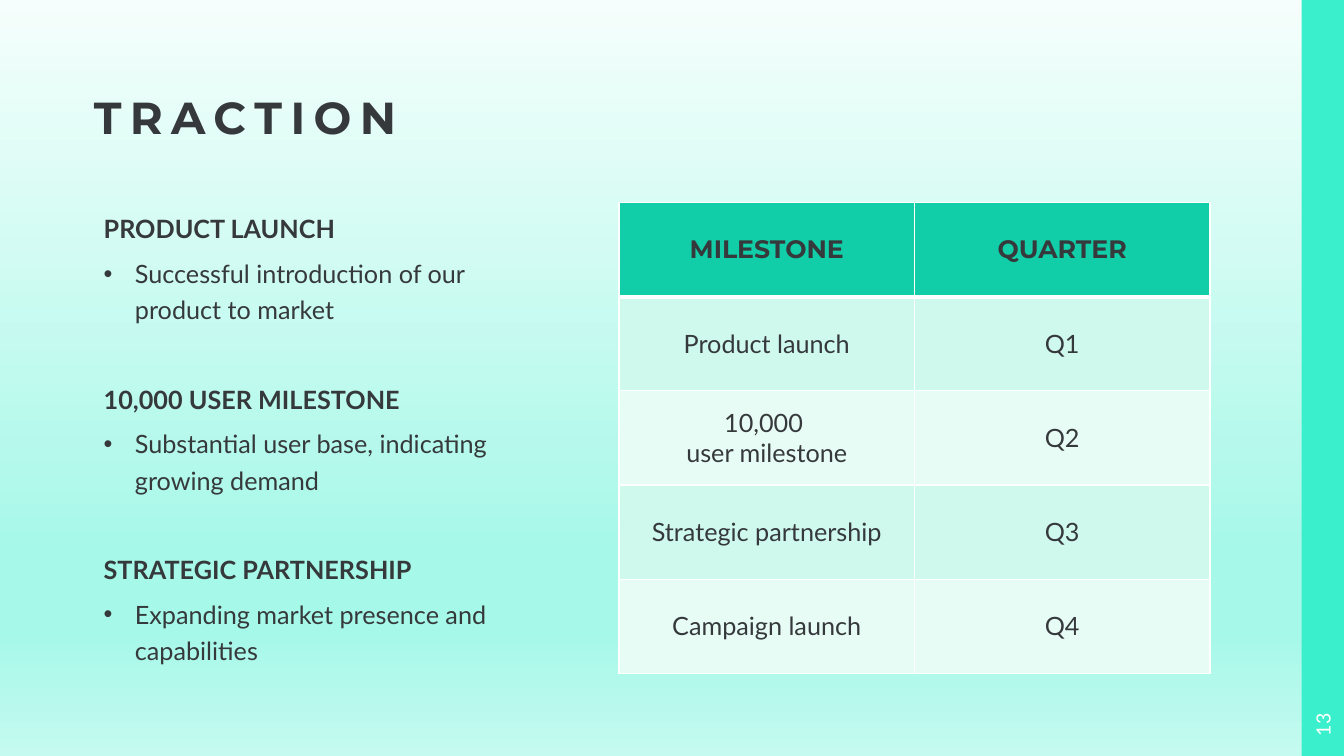
from lxml import etree
from pptx import Presentation
from pptx.dml.color import RGBColor
from pptx.enum.shapes import MSO_SHAPE as Shape
from pptx.enum.text import MSO_ANCHOR as Anchor, PP_ALIGN as Align
from pptx.oxml.ns import qn
from pptx.util import Inches, Pt

COLORS = {
    "ink": "36393B", "white": "FFFFFF", "strip": "3AEFCC",
    "header": "11CEA9", "band_dark": "CEF9EC", "band_light": "E8FCF6",
}
BACKGROUND_STOPS = [(0, "F5FEFC"), (74, "A6F8E8"), (83, "A6F8E8"), (100, "C4FAF0")]
HEADING_FONT, BODY_FONT = "Montserrat", "Lato"

ACHIEVEMENTS = [
    ("PRODUCT LAUNCH", "Successful introduction of our product to market"),
    ("10,000 USER MILESTONE", "Substantial user base, indicating growing demand"),
    ("STRATEGIC PARTNERSHIP", "Expanding market presence and capabilities"),
]
MILESTONES = [
    ("MILESTONE", "QUARTER"),
    ("Product launch", "Q1"),
    ("10,000 \vuser milestone", "Q2"),
    ("Strategic partnership", "Q3"),
    ("Campaign launch", "Q4"),
]


def rgb(name):
    return RGBColor.from_string(COLORS[name])


def set_font(font, size, name=BODY_FONT, color="ink", bold=False):
    font.size, font.name, font.bold = Pt(size), name, bold
    font.color.rgb = rgb(color)


def set_background(slide):
    fill = slide.background.fill
    fill.gradient()
    fill.gradient_angle = 270
    stops = slide.element.find(".//" + qn("a:gsLst"))
    for stop in list(stops):
        stops.remove(stop)
    for percent, color in BACKGROUND_STOPS:
        stop = etree.SubElement(stops, qn("a:gs"), pos=str(percent * 1000))
        etree.SubElement(stop, qn("a:srgbClr"), val=color)


def add_strip(slide):
    strip = slide.shapes.add_shape(
        Shape.RECTANGLE, Inches(12.91), 0, Inches(0.42), Inches(7.5))
    strip.shadow.inherit = False
    strip.fill.solid()
    strip.fill.fore_color.rgb = rgb("strip")
    strip.line.fill.background()


def set_title(slide, text):
    title = slide.shapes.title
    title.left, title.top = Inches(0.93), 0
    title.width, title.height = Inches(11.07), Inches(1.43)
    frame = title.text_frame
    frame.margin_left = frame.margin_right = frame.margin_top = frame.margin_bottom = 0
    frame.vertical_anchor = Anchor.BOTTOM
    frame.text = text
    paragraph = frame.paragraphs[0]
    paragraph.alignment = Align.LEFT
    paragraph.line_spacing = 0.9
    run = paragraph.runs[0]
    set_font(run.font, 32, HEADING_FONT, bold=True)
    run._r.get_or_add_rPr().set("spc", "600")


def add_bullet(paragraph):
    properties = paragraph._p.get_or_add_pPr()
    indent = Inches(0.31)
    properties.set("marL", str(indent))
    properties.set("indent", str(-indent))
    etree.SubElement(properties, qn("a:buFont"), typeface="Arial")
    etree.SubElement(properties, qn("a:buChar"), char="•")


def add_achievements(slide):
    box = slide.shapes.add_textbox(
        Inches(0.93), Inches(2.01), Inches(4.31), Inches(4.67))
    frame = box.text_frame
    frame.word_wrap = True
    for index, (heading, detail) in enumerate(ACHIEVEMENTS):
        for is_detail, text in enumerate((heading, detail)):
            first = index == 0 and not is_detail
            paragraph = frame.paragraphs[0] if first else frame.add_paragraph()
            paragraph.text = text
            paragraph.line_spacing = 1.2
            paragraph.space_after = Pt(6)
            if is_detail:
                paragraph.level = 1
                paragraph.space_before = Pt(0)
                add_bullet(paragraph)
            else:
                paragraph.space_before = Pt(0 if first else 32)
            set_font(paragraph.font, 18, bold=not is_detail)


def set_borders(cell, widths):
    """Insert the side lines ahead of the cell fill, as the schema orders them."""
    properties = cell._tc.get_or_add_tcPr()
    for position, (side, width) in enumerate(widths.items()):
        line = etree.Element(qn("a:ln" + side), w=str(Pt(width)))
        fill = etree.SubElement(line, qn("a:solidFill"))
        etree.SubElement(fill, qn("a:srgbClr"), val=COLORS["white"])
        properties.insert(position, line)


def add_milestone_table(slide):
    table = slide.shapes.add_table(
        len(MILESTONES), 2, Inches(6.14), Inches(2.01),
        Inches(5.86), Inches(4.67)).table
    table.horz_banding = False
    for row, values in enumerate(MILESTONES):
        header = row == 0
        color = "header" if header else "band_dark" if row % 2 else "band_light"
        for column, text in enumerate(values):
            cell = table.cell(row, column)
            cell.text = text
            cell.vertical_anchor = Anchor.MIDDLE
            cell.fill.solid()
            cell.fill.fore_color.rgb = rgb(color)
            set_borders(cell, {"L": 1, "R": 1, "T": 3 if row == 1 else 1,
                               "B": 3 if header else 1})
            paragraph = cell.text_frame.paragraphs[0]
            paragraph.alignment = Align.CENTER
            set_font(paragraph.font, 18, HEADING_FONT if header else BODY_FONT,
                     bold=header)


def add_slide_number(slide, number):
    box = slide.shapes.add_textbox(
        Inches(12.81), Inches(6.98), Inches(0.62), Inches(0.42))
    box.rotation = 270
    frame = box.text_frame
    frame.word_wrap = True
    frame.vertical_anchor = Anchor.MIDDLE
    frame.text = number
    paragraph = frame.paragraphs[0]
    paragraph.alignment = Align.CENTER
    set_font(paragraph.font, 14, color="white")


def main():
    presentation = Presentation()
    presentation.slide_width, presentation.slide_height = Inches(13.33), Inches(7.5)
    slide = presentation.slides.add_slide(presentation.slide_layouts[5])

    # Backdrop
    set_background(slide)
    add_strip(slide)

    # Content
    set_title(slide, "TRACTION")
    add_achievements(slide)
    add_milestone_table(slide)

    # Page number on the strip
    add_slide_number(slide, "13")
    presentation.save("out.pptx")


if __name__ == "__main__":
    main()
